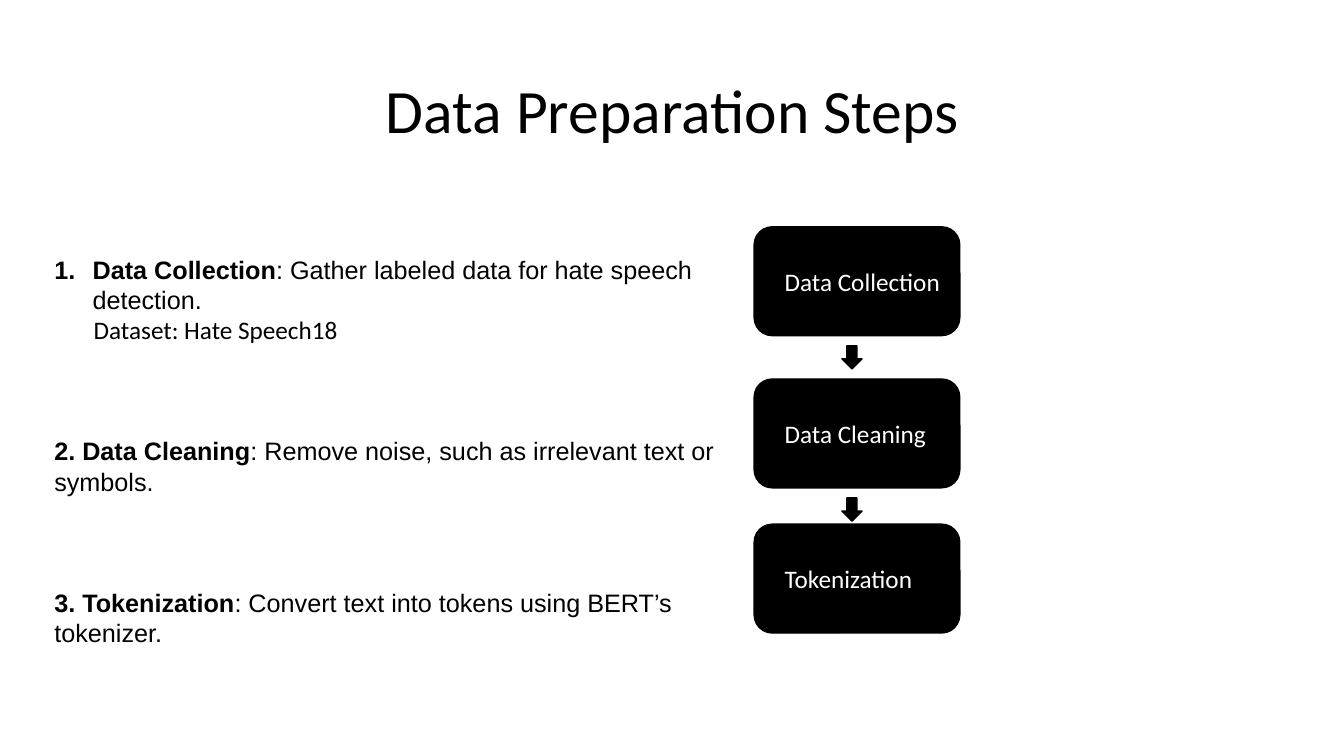
import pptx
import pptx.util
import pptx.dml.color
import pptx.enum.shapes
import pptx.enum.text
from dataclasses import dataclass
from lxml import etree

Inches = pptx.util.Inches
Pt = pptx.util.Pt
Kind = pptx.enum.shapes.MSO_SHAPE
Align = pptx.enum.text.PP_ALIGN
Anchor = pptx.enum.text.MSO_ANCHOR


@dataclass(frozen=True)
class Theme:
    dark: str = "000000"
    light: str = "FFFFFF"
    head: str = "Calibri"
    body: str = "Arial"
    big: int = 44
    small: int = 18
    gap: int = 65


THEME = Theme()


def write(para, text, size, font, color, bold=False):
    run = para.add_run()
    run.text = text
    run.font.size = Pt(size)
    run.font.name = font
    run.font.bold = bold
    run.font.color.rgb = pptx.dml.color.RGBColor.from_string(color)


def add_box(slide, left, top, width, height):
    box = slide.shapes.add_textbox(
        Inches(left), Inches(top), Inches(width), Inches(height))
    box.text_frame.word_wrap = True
    return box.text_frame


def add_solid(slide, kind, left, top, width, height):
    shape = slide.shapes.add_shape(
        kind, Inches(left), Inches(top), Inches(width), Inches(height))
    shape.shadow.inherit = False
    color = pptx.dml.color.RGBColor.from_string(THEME.dark)
    shape.fill.solid()
    shape.fill.fore_color.rgb = color
    shape.line.color.rgb = color
    shape.line.width = Pt(1)
    return shape


def indent(para, left, number=False):
    """Indent a paragraph, with a hanging bold number if asked."""
    props = para._p.get_or_add_pPr()
    props.set("marL", str(Inches(left)))
    if number:
        props.set("indent", str(-Inches(left)))
        mark = etree.SubElement(props, pptx.oxml.ns.qn("a:buAutoNum"))
        mark.set("type", "arabicPeriod")


def add_title(slide, left, top, width, height):
    frame = add_box(slide, left, top, width, height)
    frame.vertical_anchor = Anchor.MIDDLE
    para = frame.paragraphs[0]
    para.alignment = Align.CENTER
    para.line_spacing = 0.9
    write(para, "Data Preparation Steps", THEME.big, THEME.head, THEME.dark)


def add_notes(slide, left, top, width, height):
    frame = add_box(slide, left, top, width, height)

    def add_step(para, name, text):
        write(para, name, THEME.small, THEME.body, THEME.dark, True)
        write(para, text, THEME.small, THEME.body, THEME.dark)

    first = frame.paragraphs[0]
    indent(first, 0.38, number=True)
    add_step(first, "Data Collection",
             ": Gather labeled data for hate speech detection.")
    data = frame.add_paragraph()
    indent(data, 0.39)
    write(data, "Dataset: Hate Speech18", THEME.small, THEME.head, THEME.dark)
    for name, text in (
        ("2. Data Cleaning",
         ": Remove noise, such as irrelevant text or symbols."),
        ("3. Tokenization",
         ": Convert text into tokens using BERT’s tokenizer."),
    ):
        para = frame.add_paragraph()
        para.space_before = Pt(THEME.gap)
        add_step(para, name, text)


def add_flow(slide, left, top, width, height):
    """Stack the step boxes, with an arrow under each but the last."""
    steps = (("Data Collection", 0), ("Data Cleaning", 1.51),
             ("Tokenization", 2.95))
    for name, drop in steps:
        step = add_solid(slide, Kind.ROUNDED_RECTANGLE,
                         left, top + drop, width, height)
        frame = step.text_frame
        frame.word_wrap = True
        frame.vertical_anchor = Anchor.MIDDLE
        frame.margin_left = Inches(0.25)
        frame.margin_right = Inches(0)
        para = frame.paragraphs[0]
        para.alignment = Align.LEFT
        write(para, name, THEME.small, THEME.head, THEME.light)
    for name, drop in steps[:-1]:
        add_solid(slide, Kind.DOWN_ARROW, left + 0.87,
                  top + drop + height + 0.1, 0.2, 0.23)


def main():
    deck = pptx.Presentation()
    deck.slide_width = Inches(13.33)
    deck.slide_height = Inches(7.5)
    slide = deck.slides.add_slide(deck.slide_layouts[6])
    add_title(slide, 0.92, 0.4, 11.5, 1.45)
    add_flow(slide, 7.48, 2.25, 2.04, 1.08)
    add_notes(slide, 0.44, 2.47, 6.75, 4.04)
    deck.save("out.pptx")


if __name__ == "__main__":
    main()
